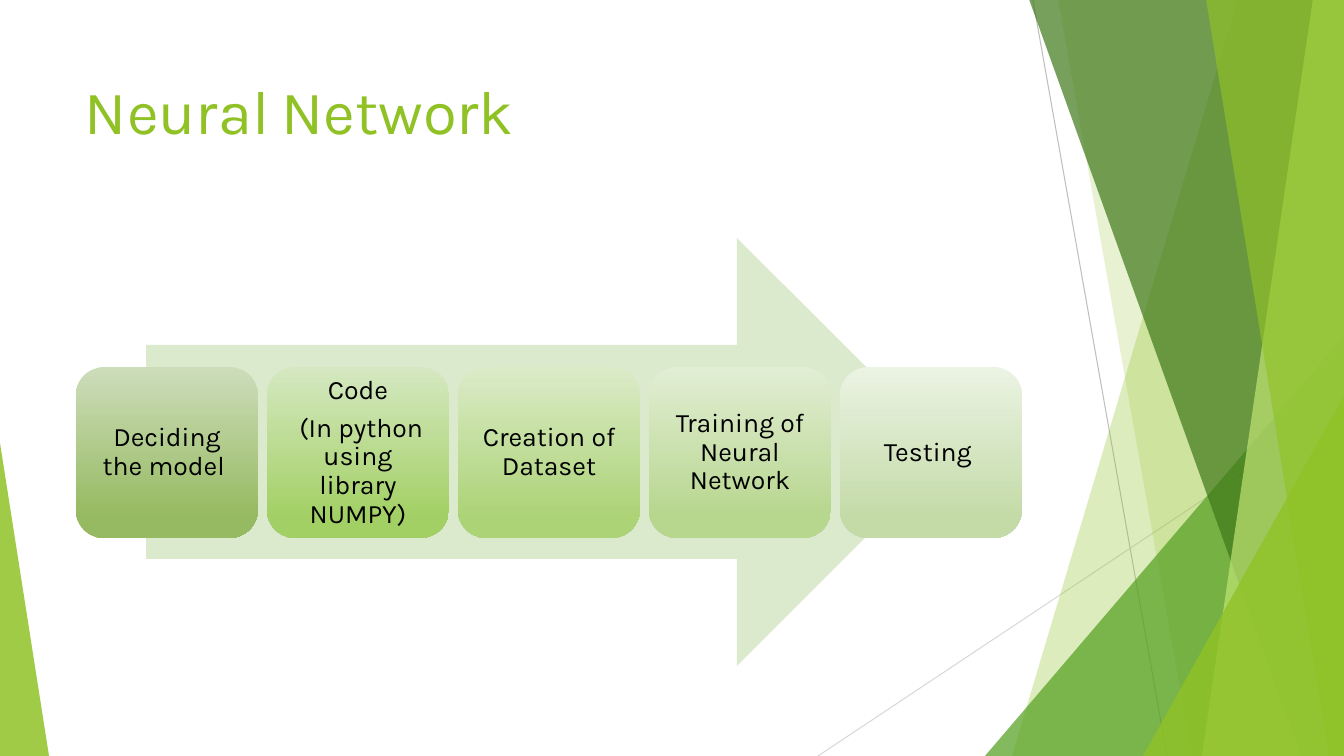
from dataclasses import dataclass

from lxml.etree import SubElement
from pptx import Presentation
from pptx.dml.color import RGBColor
from pptx.enum.shapes import MSO_CONNECTOR, MSO_SHAPE
from pptx.enum.text import MSO_ANCHOR, PP_ALIGN
from pptx.oxml.ns import qn
from pptx.util import Emu, Pt

EMU_PER_PX = 914400 / 100.8
WIDTH, HEIGHT = 1344, 756


def px(length):
    return Emu(round(length * EMU_PER_PX))


@dataclass(frozen=True)
class Theme:
    font: str = "Karla"
    lime: str = "90C226"
    green: str = "54A021"
    forest: str = "3F7819"
    pale_lime: str = "C0E474"
    arrow: str = "DBE9CD"
    ink: str = "000000"
    dark_rule: str = "BFBFBF"
    light_rule: str = "D9D9D9"
    title_size: int = 44
    title_gap_size: int = 36
    step_size: int = 19


def write(frame, paragraphs, *, font, color, align=PP_ALIGN.LEFT,
          anchor=MSO_ANCHOR.TOP, margins=(10, 5), spacing=1.0, after=0):
    frame.word_wrap = True
    frame.vertical_anchor = anchor
    frame.margin_left = frame.margin_right = px(margins[0])
    frame.margin_top = frame.margin_bottom = px(margins[1])
    for index, runs in enumerate(paragraphs):
        paragraph = frame.add_paragraph() if index else frame.paragraphs[0]
        paragraph.alignment = align
        paragraph.line_spacing = spacing
        paragraph.space_after = Pt(after)
        for words, size in runs:
            run = paragraph.add_run()
            run.text = words
            run.font.name = font
            run.font.size = Pt(size)
            run.font.color.rgb = RGBColor.from_string(color)


class SlideBuilder:
    """Draws themed elements on one slide, with lengths in px."""

    def __init__(self, slide, theme):
        self.shapes = slide.shapes
        self.theme = theme

    def paint(self, shape, color, opacity=100):
        shape.shadow.inherit = False
        shape.line.fill.background()
        shape.fill.solid()
        shape.fill.fore_color.rgb = RGBColor.from_string(color)
        if opacity < 100:
            tint = shape.fill._xPr.find(".//" + qn("a:srgbClr"))
            SubElement(tint, qn("a:alpha"), val=str(opacity * 1000))

    def rule(self, start, end, color):
        line = self.shapes.add_connector(
            MSO_CONNECTOR.STRAIGHT, *map(px, start + end))
        line.line.color.rgb = RGBColor.from_string(color)
        line.line.width = Pt(0.75)
        SubElement(line._element.spPr, qn("a:effectLst"))

    def shard(self, top_left, top_right, bottom_right, bottom_left, color, opacity):
        outline = self.shapes.build_freeform(top_left, -1, scale=EMU_PER_PX)
        outline.add_line_segments(
            [(top_right, -1), (bottom_right, HEIGHT), (bottom_left, HEIGHT)])
        self.paint(outline.convert_to_shape(), color, opacity)

    def triangle(self, box, apex, color, opacity):
        corner = self.shapes.add_shape(MSO_SHAPE.ISOSCELES_TRIANGLE, *map(px, box))
        corner.adjustments[0] = apex
        self.paint(corner, color, opacity)

    def arrow(self, box):
        band = self.shapes.add_shape(MSO_SHAPE.RIGHT_ARROW, *map(px, box))
        self.paint(band, self.theme.arrow)

    def title(self, box, runs):
        heading = self.shapes.add_textbox(*map(px, box))
        write(heading.text_frame, [runs], font=self.theme.font, color=self.theme.lime)

    def step(self, box, lines, top_color, bottom_color):
        card = self.shapes.add_shape(MSO_SHAPE.ROUNDED_RECTANGLE, *map(px, box))
        card.shadow.inherit = False
        card.line.fill.background()
        card.fill.gradient()
        card.fill.gradient_angle = 270
        stops = zip(card.fill.gradient_stops, (0, 0.88), (top_color, bottom_color))
        for stop, position, color in stops:
            stop.position = position
            stop.color.rgb = RGBColor.from_string(color)
        write(card.text_frame, [[(line, self.theme.step_size)] for line in lines],
              font=self.theme.font, color=self.theme.ink, align=PP_ALIGN.CENTER,
              anchor=MSO_ANCHOR.MIDDLE, margins=(16, 16), spacing=0.9, after=6.6)


def draw_backdrop(builder):
    theme = builder.theme
    builder.rule((1033, 0), (1167, HEIGHT), theme.dark_rule)
    builder.rule((WIDTH, 406), (818, HEIGHT), theme.light_rule)
    builder.shard(1238, WIDTH, WIDTH, 1012, theme.lime, 30)
    builder.shard(1058, WIDTH, WIDTH, 1192, theme.lime, 20)
    builder.triangle((985, 336, 359, 420), 1, theme.green, 72)
    builder.shard(1029, WIDTH, WIDTH, 1301, theme.forest, 70)
    builder.shard(1313, WIDTH, WIDTH, 1202, theme.pale_lime, 70)
    builder.shard(1206, WIDTH, WIDTH, 1329, theme.lime, 65)
    builder.triangle((1143, 396, 201, 360), 1, theme.lime, 80)
    builder.triangle((0, 443, 49, 313), 0, theme.lime, 85)


def draw_process(builder):
    steps = [
        (["Deciding the model "], "CDDDBB", "96BA61"),
        (["Code", " (In python using library NUMPY)"], "D5E8C1", "A3D065"),
        (["Creation of Dataset"], "DBEBC8", "ACD376"),
        (["Training of Neural Network"], "E2EED4", "B7D68E"),
        (["Testing "], "EBF3E3", "C4DBA8"),
    ]
    builder.arrow((146, 238, 805, 428))
    for index, (lines, top_color, bottom_color) in enumerate(steps):
        builder.step((76 + 191 * index, 367, 182, 171), lines, top_color, bottom_color)


def main():
    deck = Presentation()
    deck.slide_width, deck.slide_height = px(WIDTH), px(HEIGHT)
    theme = Theme()
    builder = SlideBuilder(deck.slides.add_slide(deck.slide_layouts[6]), theme)
    draw_backdrop(builder)
    builder.title((75, 68, 948, 145), [
        ("Neural", theme.title_size),
        (" ", theme.title_gap_size),
        ("Network", theme.title_size),
    ])
    draw_process(builder)
    deck.save("out.pptx")


if __name__ == "__main__":
    main()
